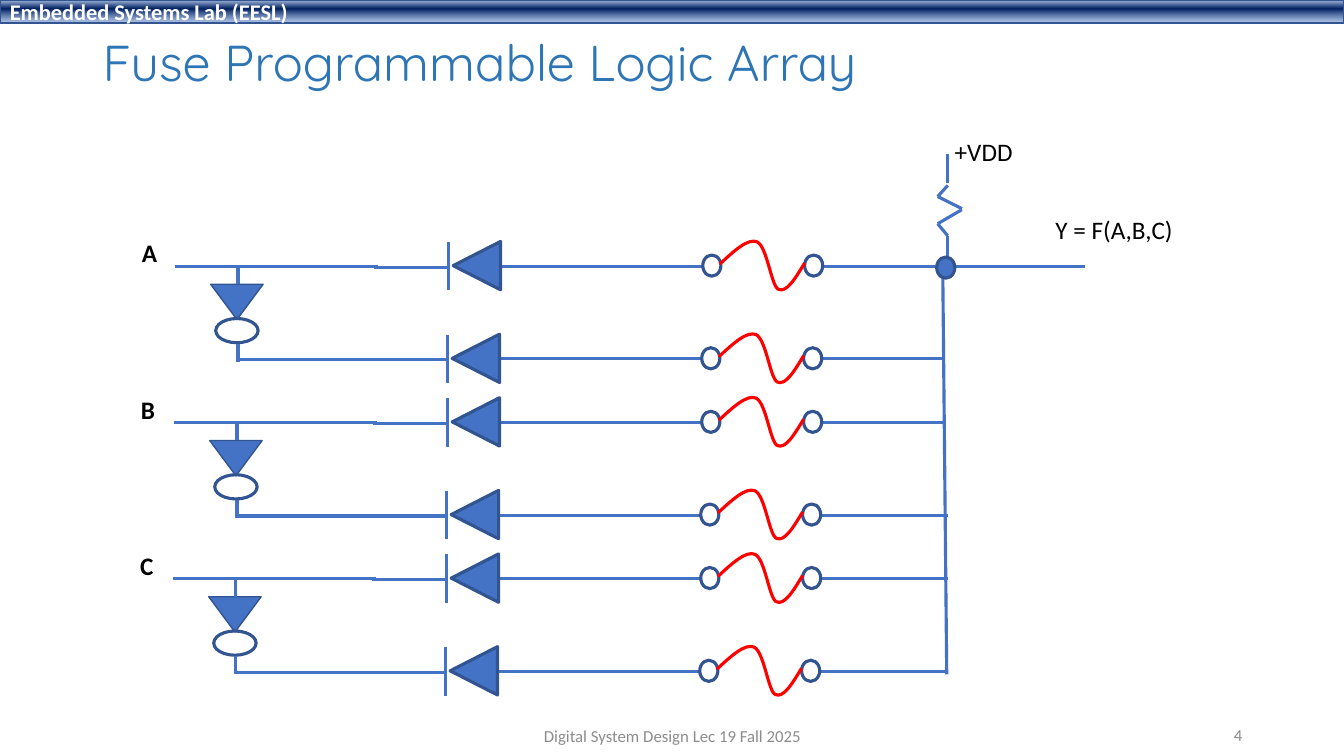
from lxml import etree
from pptx import Presentation
from pptx.dml.color import RGBColor
from pptx.enum.shapes import MSO_CONNECTOR as Link, MSO_SHAPE as Kind
from pptx.enum.text import MSO_ANCHOR as Anchor, MSO_AUTO_SIZE as Auto, PP_ALIGN as Align
from pptx.oxml import parse_xml
from pptx.oxml.ns import qn
from pptx.util import Inches, Pt

WIDE, HIGH = 13.33, 7.5
BLUE, EDGE, RED, GRAY = "4472C4", "325491", "FF0000", "8C8C8C"
THICK = 2.25

HEAD = "Embedded Systems Lab (EESL)"
TITLE = "Fuse Programmable Logic Array"
FOOT = "Digital System Design Lec 19 Fall 2025"
PAGE = "4"
INPUTS = ["A", "B", "C"]
SUPPLY, OUTPUT = "+VDD", "Y = F(A,B,C)"
STOPS = [(2, "ABC0E4", 100), (38, "002060", 100), (93, "7E9ED6", 64)]

# Grid: one pitch per input, with a true row and an inverted row in each
TOP, PITCH, PAIR = 2.64, 1.55, 0.92
LEAN = 0.01  # leftward shift per pitch
JOINS = [9.42, 9.37, 9.38, 9.4, 9.4, 9.39]  # where each row meets the bus

# Offsets of row parts: x from the slide's edge, y from the row's line
WIRES = [(4.97, 0, 5.7, 0), (5.69, 0, 6.97, 0), (3.71, 0.01, 4.45, 0.01),
         (4.45, -0.24, 4.45, 0.24)]
ENDS = [6.97, 7.98]
# Fuse: start point, then arcs of two control points and an end point
START = (7.14, -0.02)
ARCS = [[(7.28, -0.15), (7.42, -0.28), (7.51, -0.24)],
        [(7.61, -0.19), (7.65, 0.2), (7.72, 0.23)],
        [(7.8, 0.27), (7.89, 0.12), (7.98, -0.03)]]
PULLUP = [(9.4, 1.53, 9.4, 1.82), (9.4, 1.84, 9.3, 1.95),
          (9.3, 1.95, 9.54, 2.07), (9.54, 2.08, 9.3, 2.22),
          (9.3, 2.22, 9.4, 2.34), (9.4, 2.34, 9.4, 2.64)]
BUS = [(9.35, TOP, 9.39, 6.69), (9.39, TOP, 10.76, TOP)]

deck = Presentation()
deck.slide_width, deck.slide_height = Inches(WIDE), Inches(HIGH)
slide = deck.slides.add_slide(deck.slide_layouts[6])
shapes = slide.shapes


def color(code):
    return RGBColor.from_string(code)


def wire(x1, y1, x2, y2):
    line = shapes.add_connector(Link.STRAIGHT, *map(Inches, (x1, y1, x2, y2)))
    line.line.color.rgb = color(BLUE)
    line.line.width = Pt(THICK)
    etree.SubElement(line._element.spPr, qn("a:effectLst"))


def paint(shape, fill, edge, width):
    shape.shadow.inherit = False
    if fill:
        shape.fill.solid()
        shape.fill.fore_color.rgb = color(fill)
    else:
        shape.fill.background()
    shape.line.color.rgb = color(edge)
    shape.line.width = Pt(width)


def form(kind, box, fill=None, width=THICK, turn=0):
    shape = shapes.add_shape(kind, *map(Inches, box))
    shape.rotation = turn
    paint(shape, fill, EDGE, width)
    return shape


def write(frame, text, size, code="000000", bold=False, font="Calibri",
          align=Align.LEFT, anchor=Anchor.MIDDLE, wrap=True):
    frame.word_wrap = wrap
    frame.vertical_anchor = anchor
    para = frame.paragraphs[0]
    para.alignment = align
    run = para.add_run()
    run.text = text
    run.font.size, run.font.bold, run.font.name = Pt(size), bold, font
    run.font.color.rgb = color(code)
    return para


def label(box, text, size, *args, **style):
    frame = shapes.add_textbox(*map(Inches, box)).text_frame
    return frame, write(frame, text, size, *args, **style)


def mark(box, text, bold=False):
    frame, _ = label(box, text, 18, bold=bold, anchor=Anchor.TOP, wrap=False)
    frame.auto_size = Auto.SHAPE_TO_FIT_TEXT


def shade(shape):
    """Fill with the vertical gradient of the header bar."""
    stops = "".join(
        f'<a:gs pos="{pos * 1000}"><a:srgbClr val="{code}">'
        f'<a:alpha val="{alpha * 1000}"/></a:srgbClr></a:gs>'
        for pos, code, alpha in STOPS)
    props = shape._element.spPr
    props.replace(props.find(qn("a:solidFill")), parse_xml(
        '<a:gradFill xmlns:a="http://schemas.openxmlformats.org/drawingml/2006/main">'
        f'<a:gsLst>{stops}</a:gsLst><a:lin ang="5400000" scaled="0"/></a:gradFill>'))


def fuse(dx, y):
    """Draw a freeform through the arc ends, then bend each line into its arc."""
    def place(spot):
        return Inches(spot[0] + dx), Inches(spot[1] + y)

    pen = shapes.build_freeform(*place(START))
    pen.add_line_segments([place(arc[-1]) for arc in ARCS], close=False)
    shape = pen.convert_to_shape()
    paint(shape, None, RED, THICK)
    lines = list(shape._element.iter(qn("a:lnTo")))
    for line, arc in zip(lines, ARCS):
        bend = etree.Element(qn("a:cubicBezTo"))
        for px, py in map(place, arc):
            etree.SubElement(bend, qn("a:pt"), x=str(px - shape.left), y=str(py - shape.top))
        line.getparent().replace(line, bend)


def branch(dx, y, join):
    """Draw a diode, its wires and a fuse, ending at the bus."""
    for x1, y1, x2, y2 in WIRES:
        wire(x1 + dx, y + y1, x2 + dx, y + y2)
    wire(8.16 + dx, y, join, y)
    form(Kind.ISOSCELES_TRIANGLE, (4.49 + dx, y - 0.24, 0.48, 0.47), BLUE, turn=270)
    for x in ENDS:
        form(Kind.OVAL, (x + dx, y - 0.11, 0.18, 0.21))
    fuse(dx, y)


def inverter(dx, y):
    x = 2.36 + dx
    form(Kind.ISOSCELES_TRIANGLE, (x - 0.27, y + 0.18, 0.52, 0.35), BLUE, 1, 180)
    form(Kind.OVAL, (x - 0.22, y + 0.52, 0.42, 0.24), turn=180)
    for start in (0, 0.77):
        wire(x, y + start, x, y + start + 0.18)
    wire(x, y + PAIR + 0.01, 3.71 + dx, y + PAIR + 0.01)


bar = form(Kind.RECTANGLE, (0, 0, WIDE, 0.23), BLUE, 1)
shade(bar)
write(bar.text_frame, HEAD, 16, "FFFFFF", True)
_, title = label((0.92, 0.15, 11.5, 0.99), TITLE, 36, "2E75B6", font="Quicksand")
title.line_spacing = 0.9

for i, name in enumerate(INPUTS):
    y, dx = TOP + i * PITCH, -i * LEAN
    wire(1.74 + dx, y, 3.75 + dx, y)
    mark((1.31 + dx, y - 0.33, 0.35, 0.4), name, True)
    inverter(dx, y)
    branch(dx, y, JOINS[2 * i])
    branch(dx - LEAN, y + PAIR, JOINS[2 * i + 1])

for ends in PULLUP + BUS:
    wire(*ends)
form(Kind.OVAL, (9.29, 2.55, 0.18, 0.21), BLUE)
mark((9.37, 1.3, 0.78, 0.4), SUPPLY)
mark((10.37, 2.08, 1.38, 0.4), OUTPUT)
label((4.42, 7.1, 4.5, 0.4), FOOT, 12, GRAY, align=Align.CENTER)
label((9.42, 7.09, 3, 0.4), PAGE, 12, GRAY, align=Align.RIGHT)

deck.save("out.pptx")
